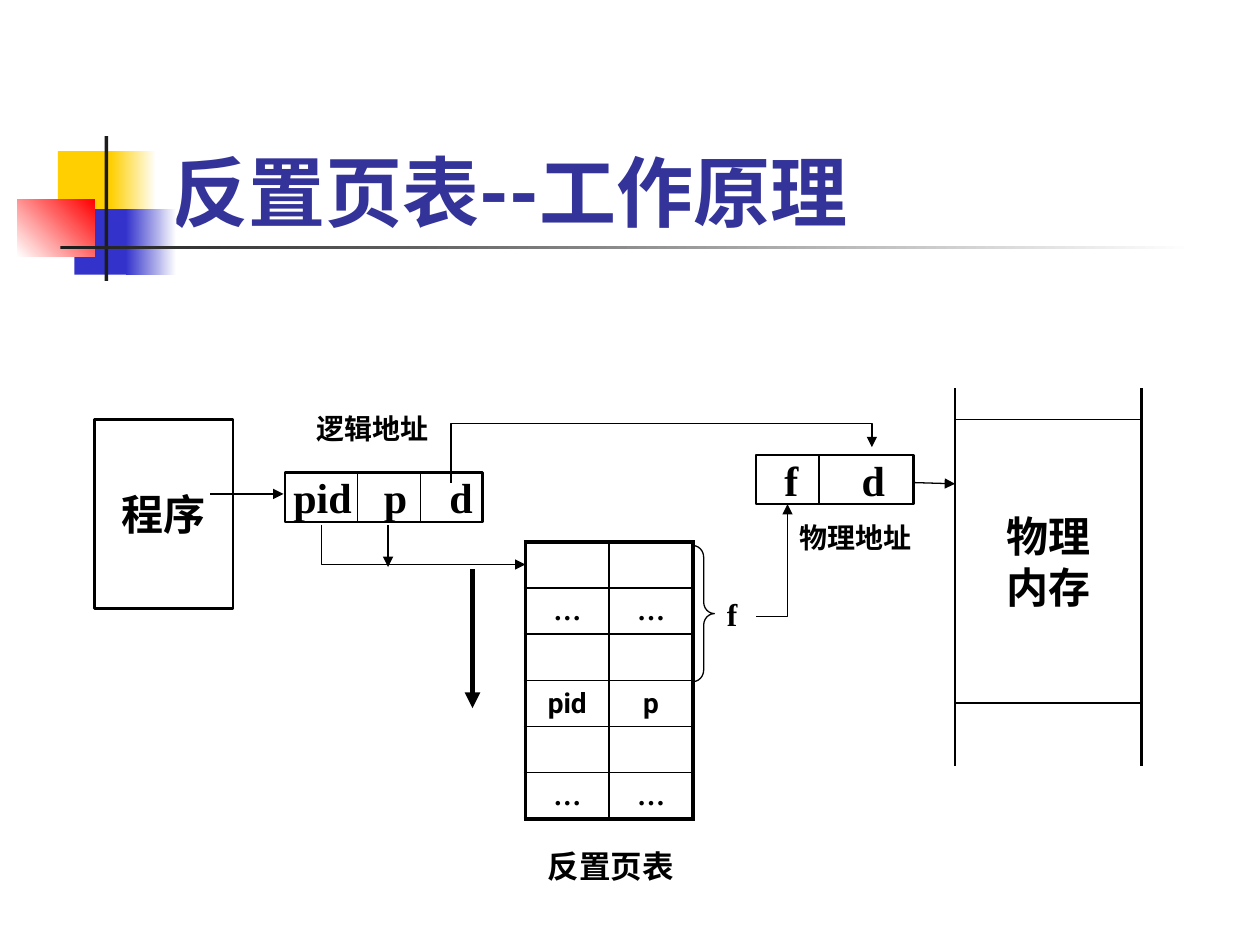
import collections
import dataclasses

import lxml.etree
import pptx
import pptx.dml.color
import pptx.enum.shapes
import pptx.enum.text
import pptx.oxml.ns
import pptx.util

Inches = pptx.util.Inches
Pt = pptx.util.Pt
qn = pptx.oxml.ns.qn
Shape = pptx.enum.shapes.MSO_SHAPE
Align = pptx.enum.text.PP_ALIGN
Anchor = pptx.enum.text.MSO_ANCHOR
Box = collections.namedtuple("Box", "left top width height")


@dataclasses.dataclass(frozen=True)
class Theme:
    ink: str = "000000"
    paper: str = "FFFFFF"
    title: str = "333399"
    bar: str = "1C1C1C"
    yellow: str = "FFCF01"
    blue: str = "3333CC"
    red: str = "FF0000"
    sans: str = "Roboto"
    serif: str = "Times New Roman"
    title_size: float = 44
    block_size: float = 24
    label_size: float = 18
    small_size: float = 16
    thin: float = 0.75
    rule: float = 1
    edge: float = 1.25
    frame: float = 2.25
    heavy: float = 3


THEME = Theme()


def rgb(value):
    return pptx.dml.color.RGBColor.from_string(value)


def lengths(box):
    return [Inches(value) for value in box]


def write(frame, text, size=THEME.block_size, font=THEME.serif, color=THEME.ink,
          align=Align.CENTER, anchor=Anchor.MIDDLE, wrap=True, tabs=()):
    """Fill a text frame, one paragraph a line, with centred tab stops in inches."""
    frame.word_wrap = wrap
    frame.vertical_anchor = anchor
    frame.text = text
    for para in frame.paragraphs:
        para.alignment = align
        if tabs:
            stops = lxml.etree.SubElement(para._p.get_or_add_pPr(), qn("a:tabLst"))
            for tab in tabs:
                lxml.etree.SubElement(stops, qn("a:tab"), pos=str(Inches(tab)), algn="ctr")
        for span in para.runs:
            span.font.name = font
            span.font.size = Pt(size)
            span.font.bold = True
            span.font.color.rgb = rgb(color)


def add_block(page, box, fill=None, fade=None, angle=0, line=None, kind=Shape.RECTANGLE):
    """Add a preset shape with a plain fill, a fade from fill to fade, or no fill."""
    block = page.shapes.add_shape(kind, *lengths(box))
    block.shadow.inherit = False
    if fade:
        block.fill.gradient()
        block.fill.gradient_angle = angle
        for stop, color in zip(block.fill.gradient_stops, (fill, fade)):
            stop.color.rgb = rgb(color)
    elif fill:
        block.fill.solid()
        block.fill.fore_color.rgb = rgb(fill)
    else:
        block.fill.background()
    if line:
        block.line.color.rgb = rgb(THEME.ink)
        block.line.width = Pt(line)
    else:
        block.line.fill.background()
    return block


def add_wire(page, *points, width=THEME.thin, arrow=False):
    """Draw a connector through two points, or an open outline through more."""
    points = [(Inches(x), Inches(y)) for x, y in points]
    if len(points) == 2:
        wire = page.shapes.add_connector(
            pptx.enum.shapes.MSO_CONNECTOR.STRAIGHT, *points[0], *points[1])
    else:
        builder = page.shapes.build_freeform(*points[0])
        builder.add_line_segments(points[1:], close=False)
        wire = builder.convert_to_shape()
        wire.fill.background()
    wire.line.color.rgb = rgb(THEME.ink)
    wire.line.width = Pt(width)
    properties = wire._element.spPr
    if arrow:
        lxml.etree.SubElement(properties.find(qn("a:ln")), qn("a:tailEnd"), type="triangle")
    lxml.etree.SubElement(properties, qn("a:effectLst"))


def add_label(page, box, text, size=THEME.small_size, align=Align.LEFT):
    label = page.shapes.add_textbox(*lengths(box))
    write(label.text_frame, text, size=size, align=align, anchor=Anchor.TOP)


def add_ornament(page, box):
    x, y, width, height = box
    add_block(page, Box(x + 0.32, y + 0.12, 0.48, 0.52), THEME.yellow)
    add_block(page, Box(x + 0.74, y + 0.12, 0.36, 0.52), THEME.yellow, THEME.paper)
    add_block(page, Box(x + 0.45, y + 0.58, 0.46, 0.52), THEME.blue)
    add_block(page, Box(x + 0.86, y + 0.58, 0.4, 0.52), THEME.blue, THEME.paper)
    add_block(page, Box(x, y + 0.5, 0.61, 0.46), THEME.paper, THEME.red, angle=45)
    add_block(page, Box(x + 0.69, y, 0.03, height), THEME.bar)
    add_block(page, Box(x + 0.34, y + 0.87, width - 0.34, 0.03), THEME.bar, THEME.paper)


def add_title(page, box, text):
    title = page.shapes.title
    title.left, title.top, title.width, title.height = lengths(box)
    title.text_frame.auto_size = pptx.enum.text.MSO_AUTO_SIZE.NONE
    write(title.text_frame, text, size=THEME.title_size, font=THEME.sans,
          color=THEME.title, align=Align.LEFT, anchor=Anchor.BOTTOM)


def add_program(page, box):
    program = add_block(page, box, THEME.paper, line=THEME.edge)
    write(program.text_frame, "程序", wrap=False)


def add_memory(page, box):
    memory = add_block(page, box, THEME.paper, line=THEME.thin)
    write(memory.text_frame, "物理\n内存", wrap=False)
    for x in (box.left, box.left + box.width):
        add_wire(page, (x, box.top - 0.25), (x, box.top + box.height + 0.5), width=THEME.edge)


def add_address(page, box, fields, dividers):
    """Draw an address register; fields maps each name to its centre."""
    names, centres = zip(*fields)
    register = add_block(page, box, THEME.paper, line=THEME.edge)
    frame = register.text_frame
    frame.margin_left = frame.margin_right = 0
    write(frame, "".join("\t" + name for name in names), align=Align.LEFT, tabs=centres)
    for offset in dividers:
        x = box.left + offset
        add_wire(page, (x, box.top), (x, box.top + box.height))


def set_border(cell, side, width):
    edge = lxml.etree.SubElement(cell._tc.get_or_add_tcPr(), qn("a:ln" + side), w=str(Pt(width)))
    fill = lxml.etree.SubElement(edge, qn("a:solidFill"))
    lxml.etree.SubElement(fill, qn("a:srgbClr"), val=THEME.ink)


def add_page_table(page, box, rows):
    last_row, last_column = len(rows) - 1, len(rows[0]) - 1
    table = page.shapes.add_table(len(rows), len(rows[0]), *lengths(box)).table
    table.first_row = table.horz_banding = False
    for r, row in enumerate(rows):
        table.rows[r].height = Inches(box.height / len(rows))
        for c, text in enumerate(row):
            cell = table.cell(r, c)
            cell.margin_top = cell.margin_bottom = Inches(0.03)
            cell.vertical_anchor = Anchor.MIDDLE
            outer = {"L": c == 0, "R": c == last_column, "T": r == 0, "B": r == last_row}
            for side, is_outer in outer.items():
                set_border(cell, side, THEME.frame if is_outer else THEME.rule)
            cell.fill.background()
            if text:
                write(cell.text_frame, text, size=THEME.small_size, anchor=Anchor.MIDDLE,
                      font=THEME.serif if text == "…" else THEME.sans)
                cell.vertical_anchor = Anchor.MIDDLE


def add_frame_brace(page, box):
    brace = add_block(page, box, line=THEME.thin, kind=Shape.RIGHT_BRACE)
    brace.adjustments[0] = 0.54
    add_label(page, Box(box.left + 0.17, box.top + 0.34, 0.5, 0.4), "f", THEME.label_size)


def add_wires(page):
    add_wire(page, (2.55, 4.17), (2.55, 4.48), (4.17, 4.48), arrow=True)
    add_wire(page, (1.67, 3.92), (2.25, 3.92), arrow=True)
    add_wire(page, (6, 4.89), (6.25, 4.89), (6.25, 4), arrow=True)
    add_wire(page, (3.58, 3.83), (3.58, 3.36), (6.92, 3.36), (6.92, 3.55), arrow=True)
    add_wire(page, (7.25, 3.83), (7.58, 3.84), arrow=True)
    add_wire(page, (3.08, 4.17), (3.08, 4.5), arrow=True)
    add_wire(page, (3.75, 4.52), (3.75, 5.62), width=THEME.heavy, arrow=True)


def main():
    deck = pptx.Presentation()
    deck.slide_width, deck.slide_height = Inches(10), Inches(7.5)
    page = deck.slides.add_slide(deck.slide_layouts[5])
    add_ornament(page, Box(0.14, 1.08, 9.34, 1.15))
    add_title(page, Box(1.26, 0.68, 8.52, 1.25), "反置页表--工作原理")
    add_program(page, Box(0.75, 3.33, 1.1, 1.5))
    add_memory(page, Box(7.58, 3.33, 1.48, 2.25))
    add_page_table(page, Box(4.17, 4.3, 1.33, 2.2), [
        ("", ""), ("…", "…"), ("", ""), ("pid", "p"), ("", ""), ("…", "…")])
    add_address(page, Box(6, 3.61, 1.25, 0.39), [("f", 0.28), ("d", 0.93)], [0.5])
    add_address(page, Box(2.26, 3.75, 1.57, 0.39),
                [("pid", 0.3), ("p", 0.88), ("d", 1.4)], [0.58, 1.08])
    add_frame_brace(page, Box(5.5, 4.33, 0.17, 1.08))
    add_wires(page)
    add_label(page, Box(2.17, 3.22, 1.33, 0.37), "逻辑地址", align=Align.RIGHT)
    add_label(page, Box(6.25, 4.08, 1.33, 0.37), "物理地址")
    add_label(page, Box(4.25, 6.67, 1.25, 0.4), "反置页表", THEME.label_size)
    deck.save("out.pptx")


if __name__ == "__main__":
    main()
